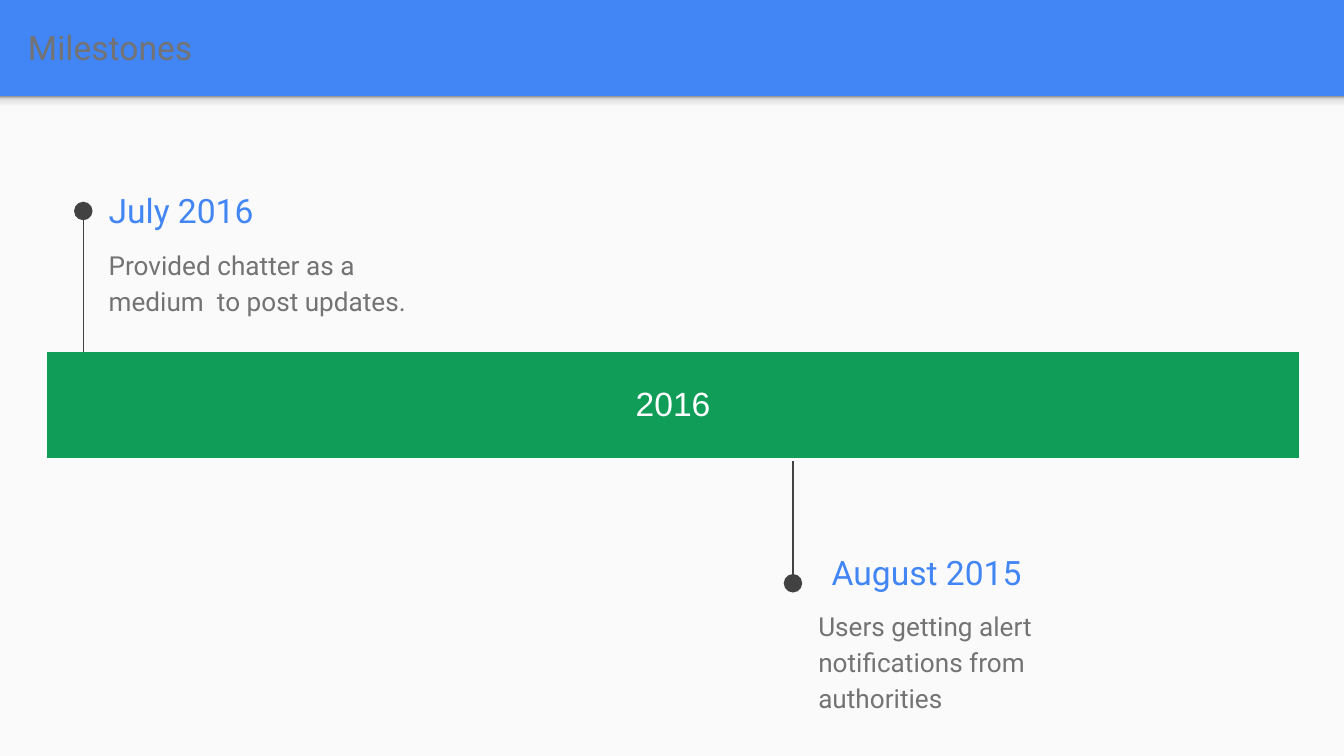
from dataclasses import dataclass

from lxml.etree import SubElement
from pptx import Presentation
from pptx.dml.color import RGBColor
from pptx.enum.shapes import MSO_CONNECTOR as Connector, MSO_SHAPE as Preset
from pptx.enum.text import MSO_ANCHOR as Anchor, PP_ALIGN as Align
from pptx.oxml import parse_xml
from pptx.oxml.ns import nsdecls, qn
from pptx.util import Inches, Pt


@dataclass(frozen=True)
class Theme:
    blue: str = "4285F4"
    paper: str = "FAFAFA"
    gray: str = "737373"
    dark: str = "424242"
    green: str = "0F9D58"
    white: str = "FFFFFF"
    font: str = "Roboto"
    band_font: str = "Arial"
    heading: int = 18
    body: int = 14


@dataclass(frozen=True)
class Milestone:
    date: str
    detail: str
    date_left: float
    date_top: float
    detail_left: float
    stem_x: float
    stem_start: float
    stem_end: float


THEME = Theme()
WIDTH = 10
HEIGHT = WIDTH * 9 / 16
PAGE_HEIGHT = 4.91
HEADER = HEIGHT - PAGE_HEIGHT
INSET = Inches(0.1)
SHADOW_STOPS = [(0, "F9F9F9"), (36, "F9F9F9"), (80, "DEDEDE"), (100, "999999")]
BAND_SHARES = [0.78] * 3 + [0.42, 1.13] + [0.78] * 7
BAND_LEFT, BAND_TOP, BAND_WIDTH, BAND_HEIGHT = 0.35, 2.62, 9.32, 0.79
NO_TABLE_STYLE = "{2D5ABB26-0587-4C30-8999-92F81FD0307C}"

MILESTONES = [
    Milestone("July 2016", "Provided chatter as a medium  to post updates.",
              0.71, 1.35, 0.71, 0.62, BAND_TOP, 1.57),
    Milestone("August 2015", "Users getting alert notifications from authorities",
              6.09, 4.04, 5.99, 5.9, 3.43, 4.34),
]


def write(frame, text: str, *, color: str, size: int = THEME.heading,
          font: str = THEME.font, align=Align.LEFT, spacing: float = 1.0,
          after: int = 0) -> None:
    paragraph = frame.paragraphs[0]
    paragraph.alignment = align
    paragraph.line_spacing = spacing
    paragraph.space_after = Pt(after)
    run = paragraph.add_run()
    run.text = text
    run.font.name = font
    run.font.size = Pt(size)
    run.font.color.rgb = RGBColor.from_string(color)


def add_text(slide, left: float, top: float, width: float, height: float,
             text: str, *, anchor=Anchor.MIDDLE, **style) -> None:
    shape = slide.shapes.add_textbox(
        Inches(left), Inches(top), Inches(width), Inches(height))
    frame = shape.text_frame
    frame.word_wrap = True
    frame.vertical_anchor = anchor
    frame.margin_left = frame.margin_right = INSET
    frame.margin_top = frame.margin_bottom = INSET
    write(frame, text, **style)


def add_panel(slide, top: float, height: float):
    shape = slide.shapes.add_shape(
        Preset.RECTANGLE, 0, Inches(top), Inches(WIDTH), Inches(height))
    shape.shadow.inherit = False
    shape.line.fill.background()
    return shape


def add_background(slide) -> None:
    background = slide.background.fill
    background.solid()
    background.fore_color.rgb = RGBColor.from_string(THEME.blue)
    page = add_panel(slide, HEADER, PAGE_HEIGHT)
    page.fill.solid()
    page.fill.fore_color.rgb = RGBColor.from_string(THEME.paper)

    # Soft shadow under the header
    shadow = add_panel(slide, HEADER, 0.12)
    shadow.fill.gradient()
    shadow.fill.gradient_angle = 90
    stops = shadow.element.spPr.find(qn("a:gradFill")).find(qn("a:gsLst"))
    for stop in list(stops):
        stops.remove(stop)
    for position, color in SHADOW_STOPS:
        stops.append(parse_xml(
            f'<a:gs {nsdecls("a")} pos="{position * 1000}">'
            f'<a:srgbClr val="{color}"/></a:gs>'))


def add_band(slide, text: str) -> None:
    graphic = slide.shapes.add_table(
        1, len(BAND_SHARES), Inches(BAND_LEFT), Inches(BAND_TOP),
        Inches(BAND_WIDTH), Inches(BAND_HEIGHT))
    table = graphic.table
    table.first_row = table.horz_banding = False
    graphic.element.find(".//" + qn("a:tableStyleId")).text = NO_TABLE_STYLE
    for column, share in zip(table.columns, BAND_SHARES):
        column.width = Inches(BAND_WIDTH * share / sum(BAND_SHARES))
    for cell in table.iter_cells():
        cell.fill.solid()
        cell.fill.fore_color.rgb = RGBColor.from_string(THEME.green)
    year = table.cell(0, 0)
    year.merge(table.cell(0, len(BAND_SHARES) - 1))
    year.vertical_anchor = Anchor.MIDDLE
    year.margin_left = year.margin_right = INSET
    year.margin_top = year.margin_bottom = INSET
    write(year.text_frame, text, color=THEME.white, font=THEME.band_font,
          align=Align.CENTER)


def add_stem(slide, x: float, start: float, end: float) -> None:
    stem = slide.shapes.add_connector(
        Connector.STRAIGHT, Inches(x), Inches(start), Inches(x), Inches(end))
    stem.line.color.rgb = RGBColor.from_string(THEME.dark)
    stem.line.width = Pt(0.75)
    properties = stem.element.spPr
    line = properties.find(qn("a:ln"))
    SubElement(line, qn("a:tailEnd"), type="oval", w="lg", len="lg")
    SubElement(properties, qn("a:effectLst"))


def add_milestone(slide, item: Milestone) -> None:
    add_stem(slide, item.stem_x, item.stem_start, item.stem_end)
    add_text(slide, item.date_left, item.date_top, 2.53, 0.43, item.date,
             color=THEME.blue)
    add_text(slide, item.detail_left, item.date_top + 0.37, 2.53, 0.63,
             item.detail, anchor=Anchor.TOP, color=THEME.gray,
             size=THEME.body, spacing=1.15, after=16)


def main() -> None:
    presentation = Presentation()
    presentation.slide_width = Inches(WIDTH)
    presentation.slide_height = Inches(HEIGHT)
    slide = presentation.slides.add_slide(presentation.slide_layouts[6])

    # Header and page
    add_background(slide)
    add_text(slide, 0.11, 0.02, 9.65, 0.66, "Milestones", color=THEME.gray)

    # Timeline
    add_band(slide, "2016")
    for item in MILESTONES:
        add_milestone(slide, item)

    presentation.save("out.pptx")


main()
